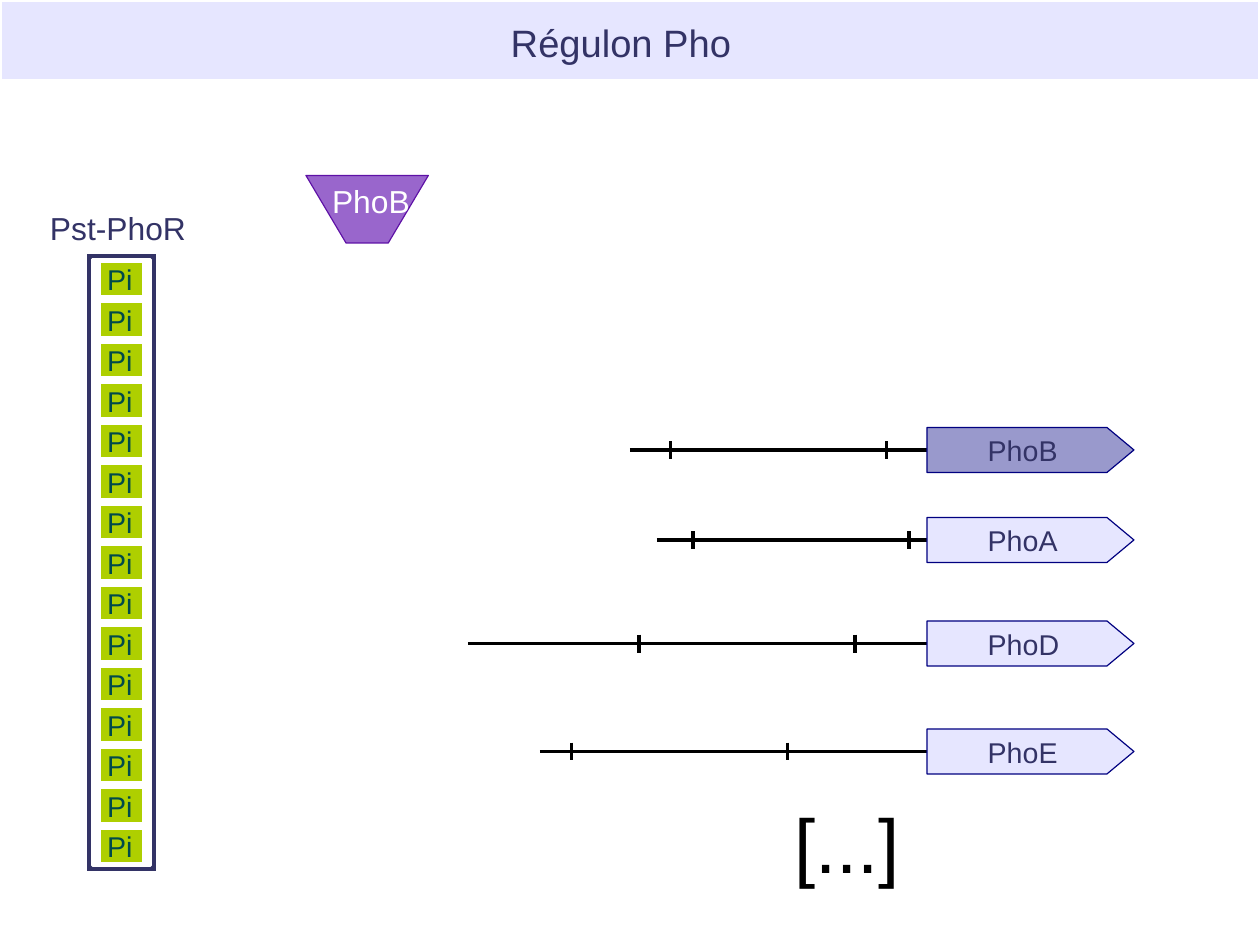
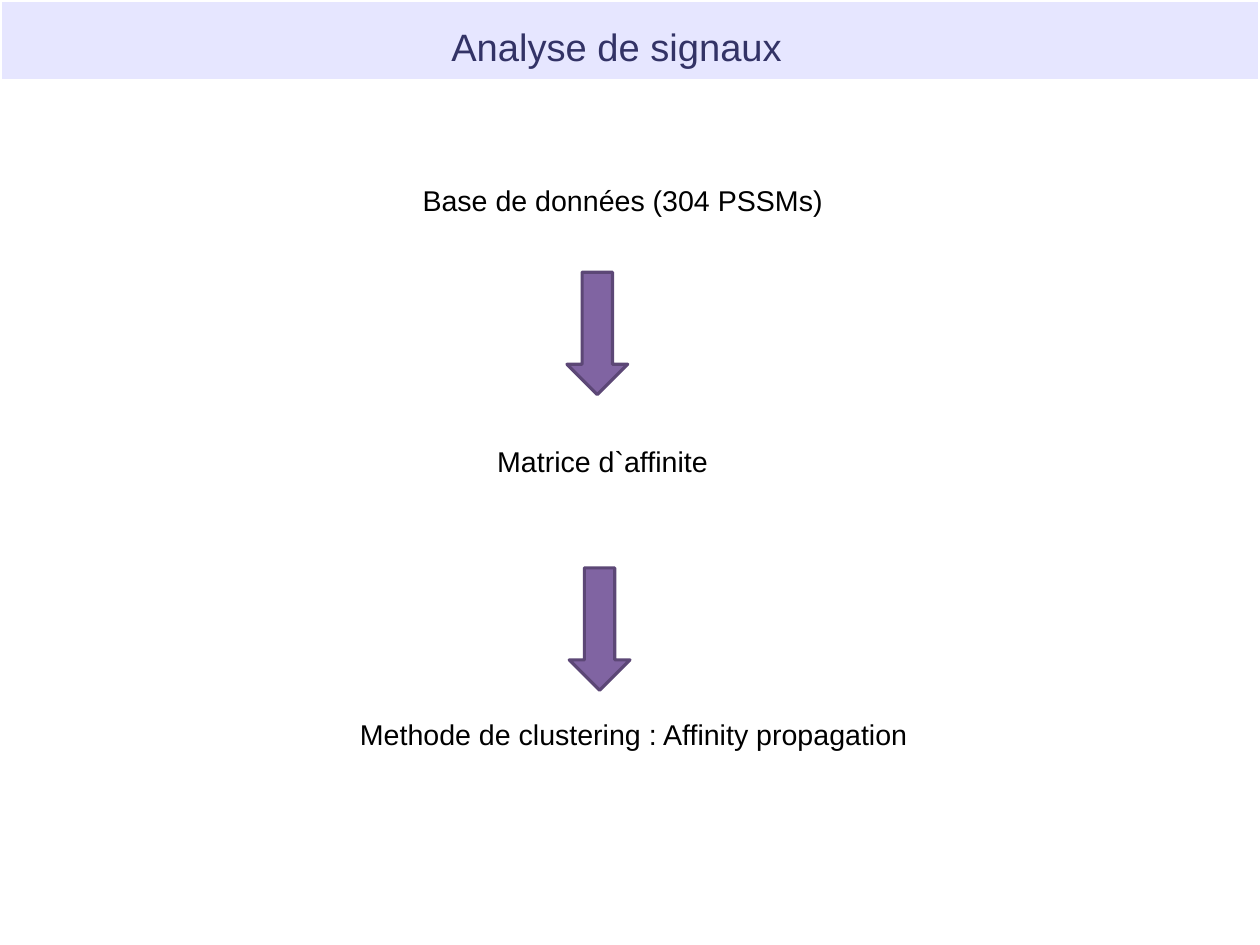
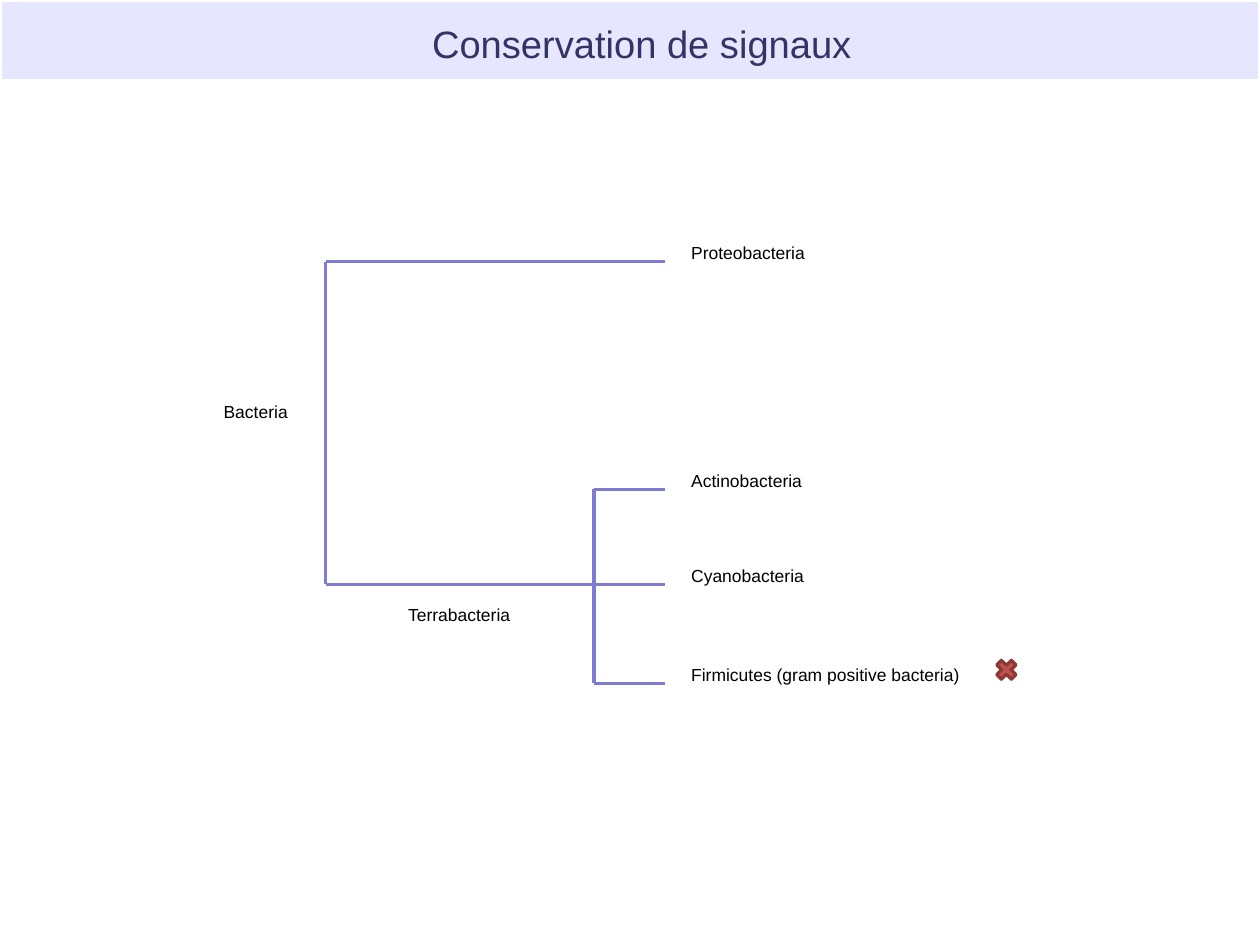
from lxml.etree import SubElement
from pptx import Presentation
from pptx.dml.color import RGBColor
from pptx.enum.shapes import MSO_CONNECTOR, MSO_SHAPE
from pptx.enum.text import MSO_ANCHOR, MSO_AUTO_SIZE, PP_ALIGN
from pptx.oxml.ns import qn
from pptx.util import Cm, Pt

FONT = "Arial"
SLIDE_WIDTH, SLIDE_HEIGHT = 28, 21
BAND_HEIGHT = 1.8
COLORS = {
    "white": "FFFFFF",
    "black": "000000",
    "lavender": "E6E6FF",
    "indigo": "333366",
    "navy": "000080",
    "periwinkle": "9999CC",
    "lime": "AECF00",
    "teal": "004A4A",
    "violet": "9966CC",
    "deep_violet": "5E11A6",
    "arrow": "8064A2",
    "arrow_edge": "5C4776",
    "branch": "7D7CD2",
    "cross": "C0504D",
    "cross_edge": "8C3836",
}


def color(name):
    return RGBColor.from_string(COLORS[name])


def write(shape, text, size, color_name, inset=(0.25, 0.13)):
    """Set left-aligned text that starts at the inset (left, top) in the shape."""
    frame = shape.text_frame
    frame.text = text
    frame.word_wrap = True
    frame.auto_size = MSO_AUTO_SIZE.NONE
    frame.vertical_anchor = MSO_ANCHOR.TOP
    frame.margin_left, frame.margin_top = Cm(inset[0]), Cm(inset[1])
    frame.margin_right = frame.margin_bottom = 0
    paragraph = frame.paragraphs[0]
    paragraph.alignment = PP_ALIGN.LEFT
    for run in paragraph.runs:
        run.font.name = FONT
        run.font.size = Pt(size)
        run.font.color.rgb = color(color_name)


def paint(shape, fill, line, width):
    shape.shadow.inherit = False
    shape.fill.solid()
    shape.fill.fore_color.rgb = color(fill)
    shape.line.color.rgb = color(line)
    shape.line.width = Pt(width)


def add_box(slide, kind, box, fill, line, width=2):
    shape = slide.shapes.add_shape(kind, *map(Cm, box))
    paint(shape, fill, line, width)
    return shape


def add_label(slide, box, text, size, color_name="black", inset=(0.25, 0.13)):
    label = slide.shapes.add_textbox(*map(Cm, box))
    write(label, text, size, color_name, inset)


def add_line(slide, start, end, color_name="black", width=0):
    line = slide.shapes.add_connector(
        MSO_CONNECTOR.STRAIGHT, *map(Cm, (*start, *end)))
    line.line.color.rgb = color(color_name)
    line.line.width = Pt(width)
    SubElement(line.element.spPr, qn("a:effectLst"))


def add_band_to_layout(slide):
    """Draw the title band and move it to the slide's layout, behind the title."""
    band = add_box(slide, MSO_SHAPE.RECTANGLE,
                   (0, 0, SLIDE_WIDTH, BAND_HEIGHT), "lavender", "white")
    band.element.nvSpPr.cNvPr.id = 20
    slide.slide_layout.shapes.element.insert(2, band.element)


def add_titled_slide(presentation, title, left, top):
    slide = presentation.slides.add_slide(presentation.slide_layouts[5])
    shape = slide.shapes.title
    shape.left, shape.top = Cm(left), Cm(top)
    shape.width, shape.height = Cm(11), Cm(1.27)
    write(shape, title, 24, "indigo")
    return slide


def add_transporter(slide, left, top, count=15):
    """Draw the framed column of phosphate chips."""
    pitch = 0.9
    add_label(slide, (left - 1.04, top - 1.1, 4, 1.04), "Pst-PhoR", 20, "indigo")
    frame = add_box(slide, MSO_SHAPE.FRAME,
                    (left, top, 1.6, count * pitch + 0.3), "indigo", "white")
    frame.adjustments[0] = 0.1
    for index in range(count):
        chip = add_box(slide, MSO_SHAPE.RECTANGLE,
                       (left + 0.3, top + 0.2 + index * pitch, 1, 0.8),
                       "lime", "white")
        write(chip, "Pi", 18, "teal", (0.18, 0.03))


def add_regulator(slide, left, top):
    """Draw the PhoB protein as a trapezoid standing on its short side."""
    builder = slide.shapes.build_freeform(Cm(left), Cm(top))
    corners = [(2.72, 0), (1.83, 1.5), (0.89, 1.5)]
    builder.add_line_segments(
        [(Cm(left + x), Cm(top + y)) for x, y in corners], close=True)
    regulator = builder.convert_to_shape()
    paint(regulator, "violet", "deep_violet", 0)
    write(regulator, "PhoB", 20, "white", (0.58, 0.13))


def add_gene(slide, left, top, name, fill, strand_start, first_site):
    """Draw a gene arrow, its upstream strand and two binding sites."""
    middle = top + 0.5
    add_line(slide, (strand_start, middle), (left, middle))
    for site in (first_site, first_site + 4.8):
        add_line(slide, (site, middle - 0.2), (site, middle + 0.2))
    gene = add_box(slide, MSO_SHAPE.PENTAGON, (left, top, 4.6, 1),
                   fill, "navy", 0)
    gene.adjustments[0] = 0.6
    write(gene, name, 18, "indigo", (1.35, 0.13))


def add_regulon_slide(presentation):
    slide = add_titled_slide(presentation, "Régulon Pho", 11.1, 0.3)
    add_band_to_layout(slide)
    add_transporter(slide, 1.9, 5.6)
    add_regulator(slide, 6.8, 3.9)
    genes = [
        (9.5, "PhoB", "periwinkle", 14, 14.9),
        (11.5, "PhoA", "lavender", 14.6, 15.4),
        (13.8, "PhoD", "lavender", 10.4, 14.2),
        (16.2, "PhoE", "lavender", 12, 12.7),
    ]
    for top, *gene in genes:
        add_gene(slide, 20.6, top, *gene)
    add_label(slide, (17.4, 17.6, 3.5, 2.16), "[...]", 48)


def add_analysis_slide(presentation):
    slide = add_titled_slide(presentation, "Analyse de signaux", 9.78, 0.38)
    steps = [
        (9.14, 3.94, "Base de données (304 PSSMs)"),
        (10.8, 9.73, "Matrice d`affinite"),
        (7.75, 15.8, "Methode de clustering : Affinity propagation"),
    ]
    for left, top, text in steps:
        add_label(slide, (left, top, 14, 1), text, 18)
    for left, top in [(12.6, 6.05), (12.65, 12.62)]:
        add_box(slide, MSO_SHAPE.DOWN_ARROW, (left, top, 1.35, 2.72),
                "arrow", "arrow_edge")


def add_tree(slide, left, top):
    """Draw the bacterial tree from its upper left corner."""
    node, tip = left + 5.96, left + 7.54
    terrabacteria = top + 7.16
    leaves = [
        (left, top, "Proteobacteria"),
        (node, top + 5.05, "Actinobacteria"),
        (node, terrabacteria, "Cyanobacteria"),
        (node, top + 9.36, "Firmicutes (gram positive bacteria)"),
    ]
    stems = [
        ((left, top), (left, terrabacteria)),
        ((left, terrabacteria), (node, terrabacteria)),
        ((node, leaves[1][1]), (node, leaves[-1][1])),
    ]
    for start, end in stems:
        add_line(slide, start, end, "branch", 2)
    for start, height, name in leaves:
        add_line(slide, (start, height), (tip, height), "branch", 2)
        add_label(slide, (tip + 0.43, height - 0.58, 8, 1.2), name, 11,
                  inset=(0.15, 0.15))
    for x, y, name in [(-2.42, 2.94, "Bacteria"), (1.68, 7.46, "Terrabacteria")]:
        add_label(slide, (left + x, top + y, 3, 1.3), name, 11,
                  inset=(0.15, 0.15))
    add_box(slide, MSO_SHAPE.MATH_MULTIPLY,
            (left + 14.81, top + 8.76, 0.63, 0.61), "cross", "cross_edge")


def add_conservation_slide(presentation):
    slide = add_titled_slide(presentation, "Conservation de signaux", 9.35, 0.33)
    add_tree(slide, 7.24, 5.82)


def main():
    presentation = Presentation()
    presentation.slide_width = Cm(SLIDE_WIDTH)
    presentation.slide_height = Cm(SLIDE_HEIGHT)
    add_regulon_slide(presentation)
    add_analysis_slide(presentation)
    add_conservation_slide(presentation)
    presentation.save("out.pptx")


if __name__ == "__main__":
    main()
